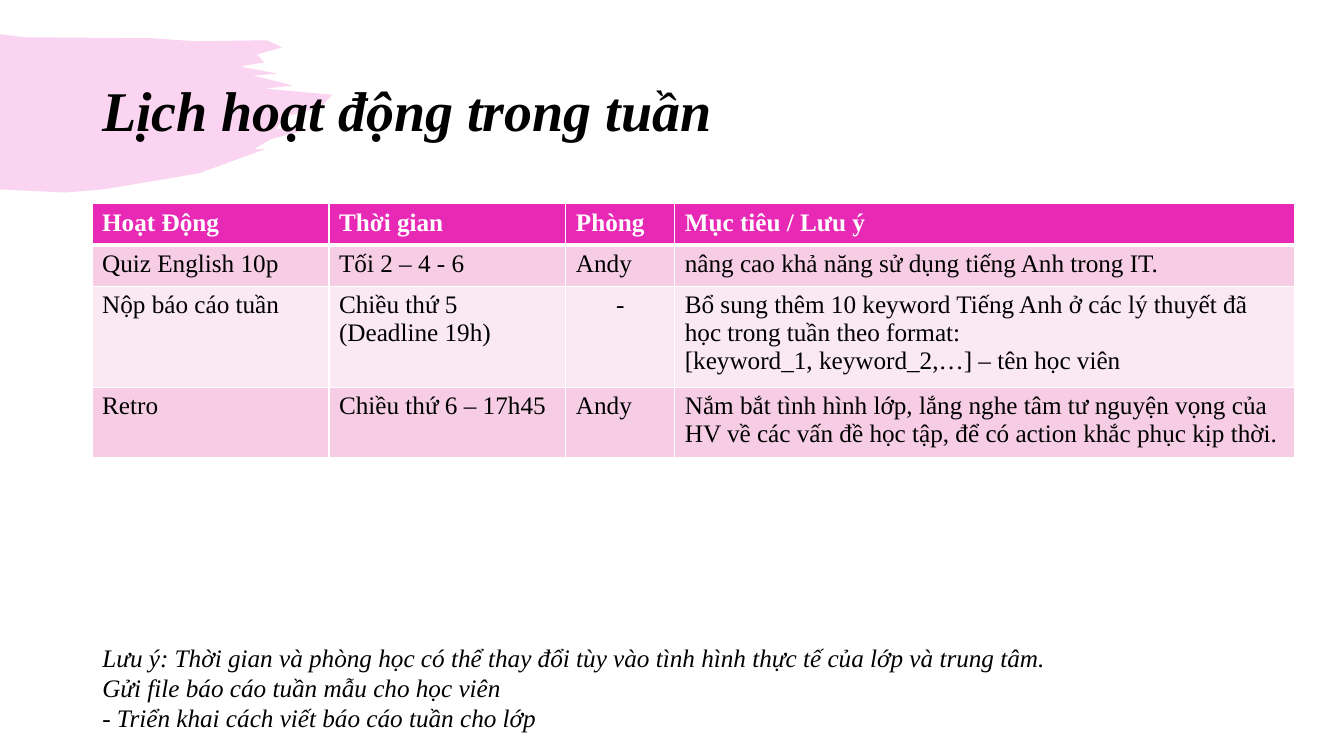
from lxml.etree import SubElement
from pptx import Presentation
from pptx.dml.color import RGBColor
from pptx.enum.text import MSO_ANCHOR, PP_ALIGN
from pptx.oxml.ns import qn
from pptx.util import Pt

FONT = "Times New Roman"
PINK, BLACK, WHITE = "E729B5", "000000", "FFFFFF"
BANDS = ["F6CDE5", "FAE8F3"]
COLUMN_WIDTHS = [169.2, 169.2, 77.8, 443]
ROW_HEIGHTS = [29.5, 29.5, 66.5, 47]
SCHEDULE = [
    ["Hoạt Động", "Thời gian", "Phòng", "Mục tiêu / Lưu ý"],
    ["Quiz English 10p", "Tối 2 – 4 - 6", "Andy",
     "nâng cao khả năng sử dụng tiếng Anh trong IT."],
    ["Nộp báo cáo tuần", "Chiều thứ 5\n(Deadline 19h)", "-",
     "Bổ sung thêm 10 keyword Tiếng Anh ở các lý thuyết đã học trong tuần "
     "theo format:\v[keyword_1, keyword_2,…] – tên học viên"],
    ["Retro", "Chiều thứ 6 – 17h45", "Andy",
     "Nắm bắt tình hình lớp, lắng nghe tâm tư nguyện vọng của HV về các vấn đề "
     "học tập, để có action khắc phục kịp thời."],
]
NOTES = """Lưu ý: Thời gian và phòng học có thể thay đổi tùy vào tình hình thực tế của lớp và trung tâm.
Gửi file báo cáo tuần mẫu cho học viên
- Triển khai cách viết báo cáo tuần cho lớp"""

BRUSH_WIDTH = 330
BRUSH_OUTLINE = [
    (0, 0), (25, 3), (151, 4), (194, 7), (265, 6), (280, 13), (255, 20),
    (262, 28), (238, 32), (275, 39), (251, 41), (280, 48), (290, 51), (263, 54),
    (330, 60), (318, 72), (283, 82), (274, 94), (308, 94), (269, 104),
    (252, 114), (263, 114), (197, 138), (102, 154), (65, 157), (0, 154),
]


def rgb(color):
    return RGBColor.from_string(color)


def style_text(frame, size, color, bold=False, italic=False):
    for paragraph in frame.paragraphs:
        for run in paragraph.runs:
            font = run.font
            font.name, font.size = FONT, Pt(size)
            font.bold, font.italic = bold, italic
            font.color.rgb = rgb(color)


def add_brush(slide, left, top, width):
    builder = slide.shapes.build_freeform(0, 0, scale=Pt(width) / BRUSH_WIDTH)
    builder.add_line_segments(BRUSH_OUTLINE[1:], close=True)
    brush = builder.convert_to_shape(Pt(left), Pt(top))
    brush.shadow.inherit = False
    brush.line.fill.background()
    brush.fill.solid()
    brush.fill.fore_color.rgb = rgb(PINK)
    color = brush.element.spPr.find(qn("a:solidFill"))[0]
    SubElement(color, qn("a:alpha"), val="20000")


def add_text(slide, left, top, width, height, text):
    frame = slide.shapes.add_textbox(Pt(left), Pt(top), Pt(width), Pt(height)).text_frame
    frame.word_wrap = True
    frame.text = text
    return frame


def add_title(slide, left, top, width, height):
    frame = add_text(slide, left, top, width, height, "Lịch hoạt động trong tuần")
    frame.vertical_anchor = MSO_ANCHOR.MIDDLE
    frame.paragraphs[0].line_spacing = 0.9
    style_text(frame, 40, BLACK, bold=True, italic=True)


def add_reminders(slide, left, top, width, height):
    style_text(add_text(slide, left, top, width, height, NOTES), 18, BLACK, italic=True)


def add_borders(cell, widths):
    properties = cell._tc.get_or_add_tcPr()
    for side, width in zip("LRTB", widths):
        line = SubElement(properties, qn(f"a:ln{side}"), w=str(Pt(width)))
        SubElement(SubElement(line, qn("a:solidFill")), qn("a:srgbClr"), val=WHITE)


def add_schedule(slide, left, top):
    table = slide.shapes.add_table(
        len(SCHEDULE), len(COLUMN_WIDTHS), Pt(left), Pt(top),
        Pt(sum(COLUMN_WIDTHS)), Pt(sum(ROW_HEIGHTS))).table
    for column, width in zip(table.columns, COLUMN_WIDTHS):
        column.width = Pt(width)
    for index, (row, height, texts) in enumerate(zip(table.rows, ROW_HEIGHTS, SCHEDULE)):
        row.height = Pt(height)
        header = index == 0
        for cell, text in zip(row.cells, texts):
            cell.text_frame.text = text
            style_text(cell.text_frame, 18, WHITE if header else BLACK, bold=header)
            if text == "-":
                cell.text_frame.paragraphs[0].alignment = PP_ALIGN.CENTER
            add_borders(cell, [1, 1, 3 if index == 1 else 1, 3 if header else 1])
            cell.fill.solid()
            cell.fill.fore_color.rgb = rgb(PINK if header else BANDS[(index - 1) % 2])


def main():
    presentation = Presentation()
    presentation.slide_width, presentation.slide_height = Pt(960), Pt(540)
    slide = presentation.slides.add_slide(presentation.slide_layouts[6])
    add_brush(slide, 0, 24.5, 237.6)
    add_title(slide, 66, 28.8, 828, 104.4)
    add_schedule(slide, 65.8, 145.6)
    add_reminders(slide, 66, 455, 816.5, 72)
    presentation.save("out.pptx")


if __name__ == "__main__":
    main()
